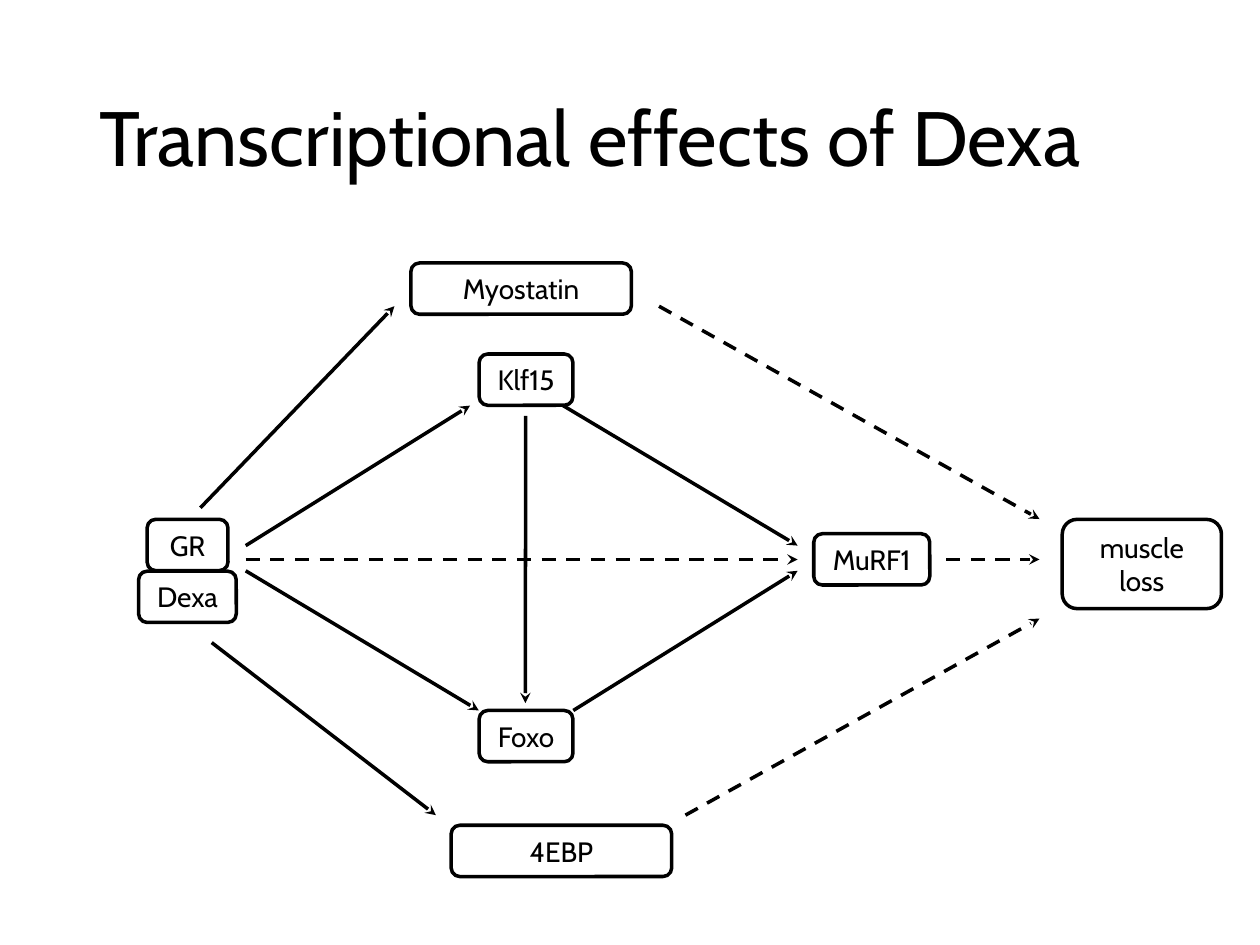
from lxml import etree
from pptx import Presentation
from pptx.dml.color import RGBColor
from pptx.enum import dml, shapes, text
from pptx.oxml import ns
from pptx.util import Pt


def color(code):
    return RGBColor.from_string(code)


def write(frame, words, size=16, font="Cabin", ink="000000",
          align=text.PP_ALIGN.CENTER, space=1.0):
    frame.word_wrap = True
    frame.vertical_anchor = text.MSO_ANCHOR.MIDDLE
    frame.text = words
    for para in frame.paragraphs:
        para.alignment = align
        para.line_spacing = space
        for run in para.runs:
            run.font.size = Pt(size)
            run.font.name = font
            run.font.color.rgb = color(ink)


class Board:
    def __init__(self, slide, ink="000000", width=2):
        self.slide = slide
        self.ink = ink
        self.width = width

    def title(self, words, left, top, wide, high):
        head = self.slide.shapes.title
        head.left, head.top = Pt(left), Pt(top)
        head.width, head.height = Pt(wide), Pt(high)
        write(head.text_frame, words, size=44, ink=self.ink,
              align=text.PP_ALIGN.LEFT, space=0.9)
        head.text_frame.auto_size = text.MSO_AUTO_SIZE.NONE

    def stroke(self, line):
        line.color.rgb = color(self.ink)
        line.width = Pt(self.width)

    def box(self, words, left, top, wide, high=29.3):
        node = self.slide.shapes.add_shape(
            shapes.MSO_SHAPE.ROUNDED_RECTANGLE,
            Pt(left), Pt(top), Pt(wide), Pt(high))
        node.shadow.inherit = False
        node.fill.background()
        self.stroke(node.line)
        write(node.text_frame, words, ink=self.ink)

    def arrow(self, start, end, dash=False):
        link = self.slide.shapes.add_connector(
            shapes.MSO_CONNECTOR.STRAIGHT, *map(Pt, start + end))
        self.stroke(link.line)
        if dash:
            link.line.dash_style = dml.MSO_LINE.DASH
        props = link._element.spPr
        tip = etree.SubElement(props.find(ns.qn("a:ln")), ns.qn("a:tailEnd"))
        tip.set("type", "stealth")
        etree.SubElement(props, ns.qn("a:effectLst"))


def main():
    deck = Presentation()
    deck.slide_width, deck.slide_height = Pt(720), Pt(540)
    board = Board(deck.slides.add_slide(deck.slide_layouts[5]))
    board.title("Transcriptional effects of Dexa", 49.7, 28.8, 620.6, 104.4)

    nodes = [
        ("GR", 84.1, 296.8, 46.2),
        ("Dexa", 79.2, 326.4, 55.8),
        ("Foxo", 273.8, 406, 53.6),
        ("MuRF1", 465, 305, 66.3),
        ("Klf15", 273.8, 202.3, 53.6),
        ("Myostatin", 234.8, 150.3, 126),
        ("muscle\nloss", 607, 296.8, 91, 51),
        ("4EBP", 257.8, 471.6, 126),
    ]
    for node in nodes:
        board.box(*node)

    solid = [
        ((140.4, 326.2), (273.6, 406)),
        ((327.6, 406), (455.8, 326.2)),
        ((140.4, 311.8), (268.6, 231.8)),
        ((321.8, 231.8), (455.8, 311.8)),
        ((300.4, 237.6), (300.2, 401.8)),
        ((114.5, 290.2), (225.4, 175)),
        ((121, 367.2), (249.1, 465.8)),
    ]
    dashed = [
        ((140.4, 319.7), (455.8, 319.7)),
        ((540.7, 319.7), (594, 319.7)),
        ((376.6, 175), (594, 296.6)),
        ((391.7, 465.8), (594, 353.5)),
    ]
    for ends in solid:
        board.arrow(*ends)
    for ends in dashed:
        board.arrow(*ends, dash=True)
    deck.save("out.pptx")


if __name__ == "__main__":
    main()
